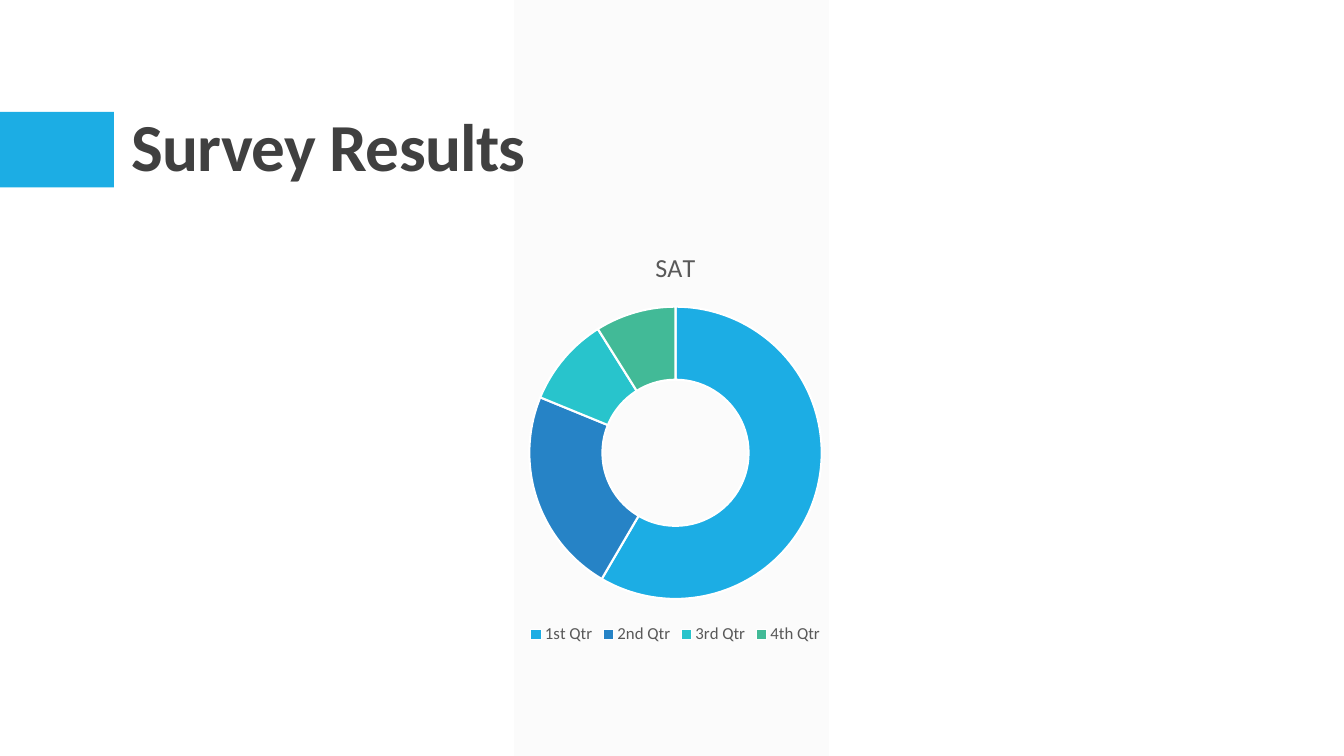
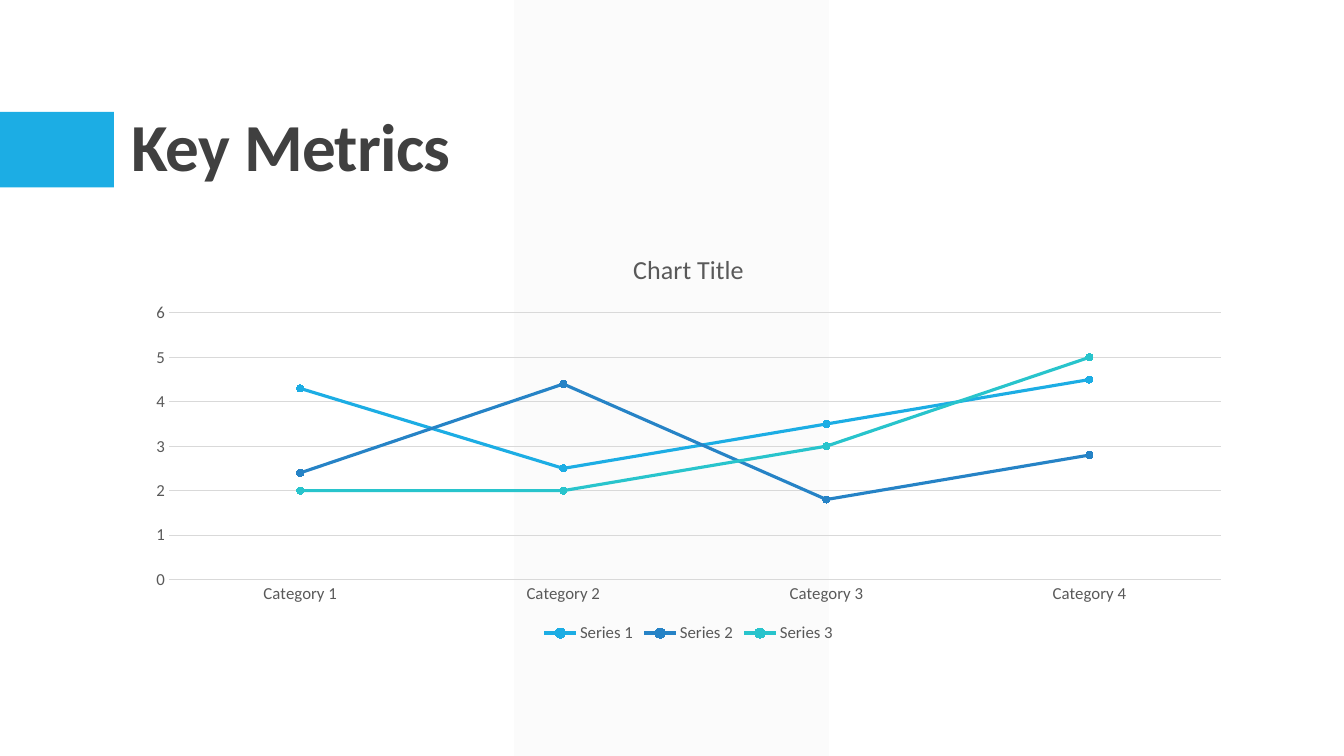
import pptx
import pptx.chart.data
import pptx.dml.color
import pptx.enum.chart
import pptx.enum.shapes
import pptx.enum.text
import pptx.oxml
import pptx.oxml.ns
import pptx.util

Pt = pptx.util.Pt
Inches = pptx.util.Inches
SHAPES = pptx.enum.shapes.MSO_SHAPE
CHARTS = pptx.enum.chart.XL_CHART_TYPE

FONT = "Calibri"
ACCENTS = ["1CADE4", "2683C6", "28C4CC", "42BA97"]
TITLE_COLOR, LABEL_COLOR, GRID_COLOR, BAND_COLOR = "404040", "595959", "D9D9D9", "F2F2F2"


def paint(target, color):
    """Give a fill, or the fill of a font or line, one solid hex colour."""
    fill = target if hasattr(target, "solid") else target.fill
    fill.solid()
    fill.fore_color.rgb = pptx.dml.color.RGBColor.from_string(color)


def style_text(font, size, color, bold=False):
    font.name, font.size, font.bold = FONT, Pt(size), bold
    paint(font, color)


deck = pptx.Presentation()
deck.slide_width, deck.slide_height = Inches(13.33), Inches(7.5)
title_only = deck.slide_layouts[5]

# Shared background: shape, place, colour and opacity, from back to front
background = [
    (SHAPES.PARALLELOGRAM, (5.1, 0, 3.12, 7.5), BAND_COLOR, 30),
    (SHAPES.RECTANGLE, (0, 1.11, 1.13, 0.75), ACCENTS[0], 100),
]

# What differs from slide to slide
slides = [
    {"title": "Survey Results", "kind": CHARTS.DOUGHNUT, "place": (1.2, 2.29, 11, 4.14),
     "heading": "SAT", "categories": ["1st Qtr", "2nd Qtr", "3rd Qtr", "4th Qtr"],
     "series": [[59, 23, 10, 9]]},
    {"title": "Key Metrics", "kind": CHARTS.LINE_MARKERS, "place": (1.33, 2.31, 11, 4.11),
     "heading": "Chart Title", "categories": [f"Category {n}" for n in range(1, 5)],
     "series": [[4.3, 2.5, 3.5, 4.5], [2.4, 4.4, 1.8, 2.8], [2, 2, 3, 5]]},
]

for content in slides:
    page = deck.slides.add_slide(title_only)

    # Band and accent block, behind the title
    for depth, (kind, place, color, opacity) in enumerate(background):
        box = page.shapes.add_shape(kind, *map(Inches, place))
        box.shadow.inherit = False
        box.line.fill.background()
        paint(box.fill, color)
        if kind == SHAPES.PARALLELOGRAM:
            box.adjustments[0] = 0
        if opacity < 100:
            tint = box._element.spPr.find(".//" + pptx.oxml.ns.qn("a:srgbClr"))
            alpha = pptx.oxml.parse_xml(f'<a:alpha {pptx.oxml.ns.nsdecls("a")} val="{opacity * 1000}"/>')
            tint.append(alpha)
        page.shapes._spTree.insert(2 + depth, box._element)

    # Title
    title = page.shapes.title
    title.left, title.top, title.width, title.height = map(Inches, (1.2, 0.31, 11, 1.59))
    title.text_frame.vertical_anchor = pptx.enum.text.MSO_ANCHOR.BOTTOM
    title.text_frame.auto_size = pptx.enum.text.MSO_AUTO_SIZE.NONE
    para = title.text_frame.paragraphs[0]
    para.alignment = pptx.enum.text.PP_ALIGN.LEFT
    para.line_spacing = 0.9
    span = para.add_run()
    span.text = content["title"]
    style_text(span.font, 48, TITLE_COLOR, bold=True)
    span.font._element.set("spc", "-50")

    # Chart with its heading and legend
    data = pptx.chart.data.CategoryChartData()
    data.categories = content["categories"]
    for number, values in enumerate(content["series"], 1):
        data.add_series(f"Series {number}", values)
    chart = page.shapes.add_chart(content["kind"], *map(Inches, content["place"]), data).chart
    style_text(chart.font, 12, LABEL_COLOR)
    chart.has_title = True
    span = chart.chart_title.text_frame.paragraphs[0].add_run()
    span.text = content["heading"]
    style_text(span.font, 18.6, LABEL_COLOR)
    chart.chart_title.include_in_layout = False
    chart.has_legend = True
    chart.legend.position = pptx.enum.chart.XL_LEGEND_POSITION.BOTTOM
    chart.legend.include_in_layout = False
    style_text(chart.legend.font, 12, LABEL_COLOR)
    plot = chart.plots[0]

    if content["kind"] == CHARTS.DOUGHNUT:
        # Ring segments parted by white lines
        plot.vary_by_categories = True
        plot._element.find(pptx.oxml.ns.qn("c:holeSize")).set("val", "75")
        for index, color in enumerate(ACCENTS):
            segment = plot.series[0].points[index].format
            paint(segment.fill, color)
            paint(segment.line, "FFFFFF")
            segment.line.width = Pt(1.5)
    else:
        # Lines with round markers
        plot.vary_by_categories = False
        for series, color in zip(plot.series, ACCENTS):
            series.smooth = False
            paint(series.format.line, color)
            series.format.line.width = Pt(2.25)
            series.marker.style = pptx.enum.chart.XL_MARKER_STYLE.CIRCLE
            series.marker.size = 5
            paint(series.marker.format.fill, color)
            paint(series.marker.format.line, color)

        # Axes and gridlines
        for axis in (chart.category_axis, chart.value_axis):
            axis.major_tick_mark = axis.minor_tick_mark = pptx.enum.chart.XL_TICK_MARK.NONE
            style_text(axis.tick_labels.font, 12, LABEL_COLOR)
        chart.value_axis.minimum_scale, chart.value_axis.maximum_scale = 0, 6
        chart.value_axis.major_unit = 1
        chart.value_axis.format.line.fill.background()
        for rule in (chart.category_axis.format.line, chart.value_axis.major_gridlines.format.line):
            paint(rule, GRID_COLOR)
            rule.width = Pt(0.75)

deck.save("out.pptx")
